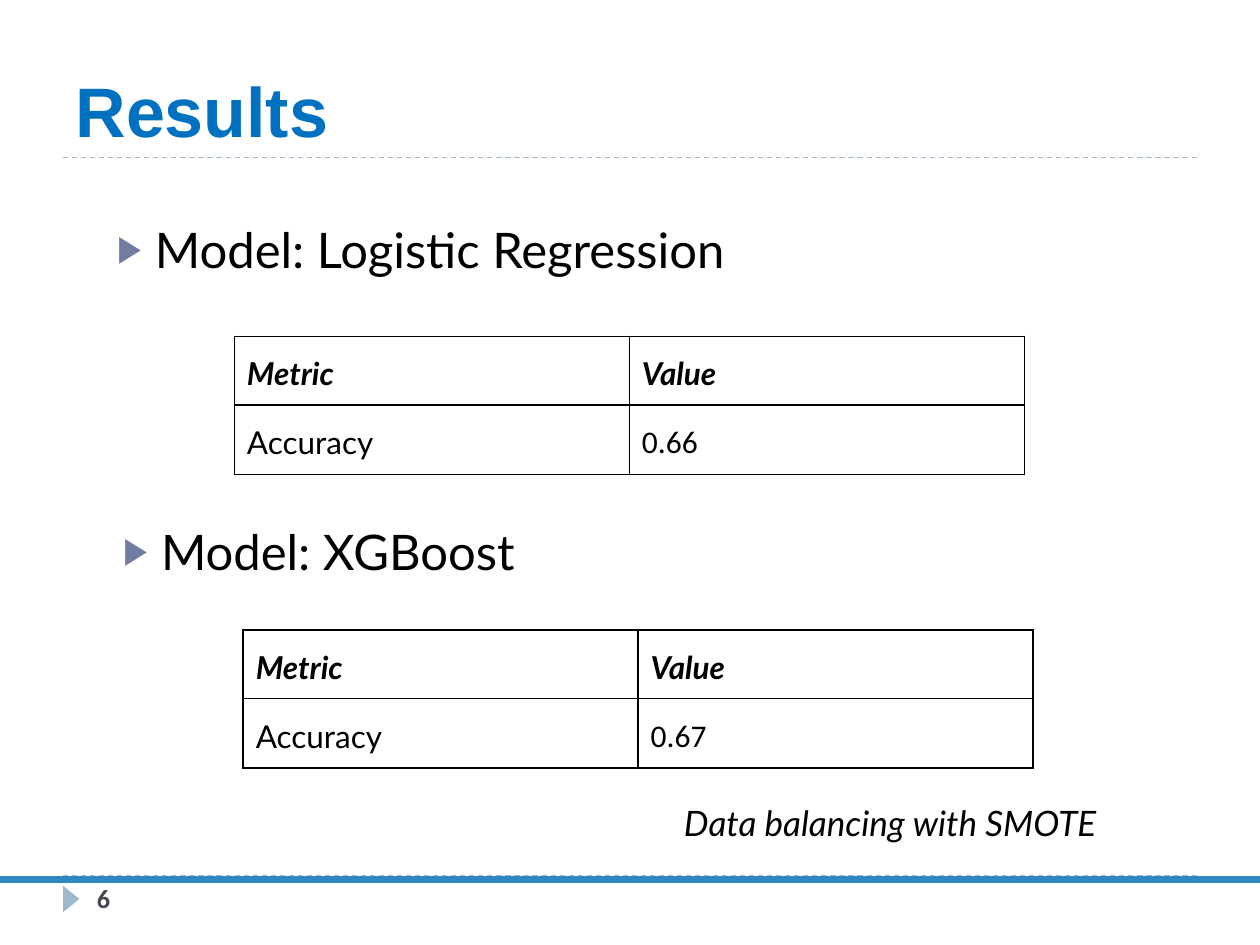
from dataclasses import dataclass

from lxml import etree
from pptx import Presentation
from pptx import util as u
from pptx.dml.color import RGBColor
from pptx.enum import dml, shapes, text
from pptx.oxml import ns

Inches, Pt = u.Inches, u.Pt


@dataclass(frozen=True)
class Theme:
    title: str = "0070C0"
    ink: str = "000000"
    number: str = "464653"
    accent: str = "9FB8CD"
    bullet: str = "727CA3"
    bar: str = "3187C1"
    head_font: str = "Arial"
    body_font: str = "Lato"
    plain_font: str = "Calibri"
    title_size: int = 40
    list_size: int = 28
    note_size: int = 20
    cell_size: int = 18
    number_size: int = 15


T = Theme()


def set_attrs(obj, **values):
    for name, value in values.items():
        setattr(obj, name, value)


def sub(parent, tag, **attrs):
    return etree.SubElement(parent, ns.qn(tag), attrs)


def write(p, words, size, color=T.ink, name=T.body_font, **styles):
    r = p.add_run()
    r.text = words
    set_attrs(r.font, size=Pt(size), name=name, **styles)
    r.font.color.rgb = RGBColor.from_string(color)


def place(sp, box, anchor=text.MSO_ANCHOR.TOP):
    """Move a text shape to box and return its first paragraph."""
    set_attrs(sp, **dict(zip(("left", "top", "width", "height"), map(Inches, box))))
    set_attrs(sp.text_frame, word_wrap=True, vertical_anchor=anchor,
              auto_size=text.MSO_AUTO_SIZE.NONE)
    p = sp.text_frame.paragraphs[0]
    p.alignment = text.PP_ALIGN.LEFT
    return p


def text_box(s):
    return s.shapes.add_textbox(0, 0, 0, 0)


def rule(s, x1, x2, y, color, width, dash=None):
    line = s.shapes.add_connector(shapes.MSO_CONNECTOR.STRAIGHT,
                                  *map(Inches, (x1, y, x2, y)))
    set_attrs(line.line, width=Pt(width), dash_style=dash)
    line.line.color.rgb = RGBColor.from_string(color)
    sub(line._element.spPr, "a:effectLst")


def frame(s, left, right):
    """Dashed rules, footer bar and page marker."""
    for y in (6.95, 1.25):
        rule(s, left, right, y, T.accent, 0.75, dml.MSO_LINE.DASH)
    sp = s.shapes.add_shape(shapes.MSO_SHAPE.ISOSCELES_TRIANGLE,
                            *map(Inches, (left - 0.04, 7.07, 0.21, 0.13)))
    sp.rotation = 90
    sp.shadow.inherit = False
    sp.fill.solid()
    sp.fill.fore_color.rgb = RGBColor.from_string(T.accent)
    sp.line.fill.background()
    rule(s, 0, 10, 6.98, T.bar, 4.5)
    p = place(text_box(s), (left + 0.17, 6.95, 2.17, 0.4))
    write(p, "6", T.number_size, T.number, T.plain_font, bold=True)


def heading(sp, box, words):
    p = place(sp, box, text.MSO_ANCHOR.BOTTOM)
    write(p, words, T.title_size, T.title, T.head_font, bold=True)


def bullet(sp, box, words):
    p = place(sp, box)
    p.space_before = Pt(6)
    pPr = p._p.get_or_add_pPr()
    set_attrs_xml = {"marL": Inches(0.3), "indent": Inches(-0.3)}
    for name, value in set_attrs_xml.items():
        pPr.set(name, str(int(value)))
    sub(sub(pPr, "a:buClr"), "a:srgbClr", val=T.bullet)
    sub(pPr, "a:buSzPct", val="76000")
    sub(pPr, "a:buFont", typeface=T.head_font)
    sub(pPr, "a:buChar", char="▶")
    write(p, words, T.list_size)


def border(cell):
    tcPr = cell._tc.get_or_add_tcPr()
    for i, side in enumerate(("a:lnL", "a:lnR", "a:lnT", "a:lnB")):
        ln = sub(tcPr, side, w=str(int(Pt(1))))
        sub(sub(ln, "a:solidFill"), "a:srgbClr", val=T.ink)
        tcPr.insert(i, ln)


def metric_table(s, box, accuracy):
    rows = (("Metric", "Value"), ("Accuracy", accuracy))
    table = s.shapes.add_table(2, 2, *map(Inches, box)).table
    set_attrs(table, first_row=False, horz_banding=False)
    margins = dict.fromkeys(("margin_left", "margin_right", "margin_top",
                             "margin_bottom"), Inches(0.1))
    for i, row in enumerate(rows):
        for j, words in enumerate(row):
            cell = table.cell(i, j)
            set_attrs(cell, **margins)
            cell.fill.background()
            border(cell)
            p = cell.text_frame.paragraphs[0]
            p.line_spacing = 1.15
            font = T.plain_font if words == accuracy else T.body_font
            write(p, words, T.cell_size, name=font, bold=i == 0, italic=i == 0)


def note(s, box, words):
    p = place(text_box(s), box)
    p.space_before = Pt(6)
    write(p, words, T.note_size, italic=True)


def main():
    prs = Presentation()
    set_attrs(prs, slide_width=Inches(10), slide_height=Inches(7.5))
    s = prs.slides.add_slide(prs.slide_layouts[1])
    frame(s, 0.5, 9.5)
    heading(s.shapes.title, (0.5, 0.17, 9, 1.08), "Results")
    bullet(s.placeholders[1], (0.83, 1.69, 9, 0.84), "Model: Logistic Regression")
    metric_table(s, (1.86, 2.67, 6.27, 1.03), "0.66")
    bullet(text_box(s), (0.88, 4.09, 9, 0.84), "Model: XGBoost")
    metric_table(s, (1.93, 5, 6.27, 1.03), "0.67")
    note(s, (5.33, 6.31, 3.71, 0.84), "Data balancing with SMOTE")
    prs.save("out.pptx")


if __name__ == "__main__":
    main()
